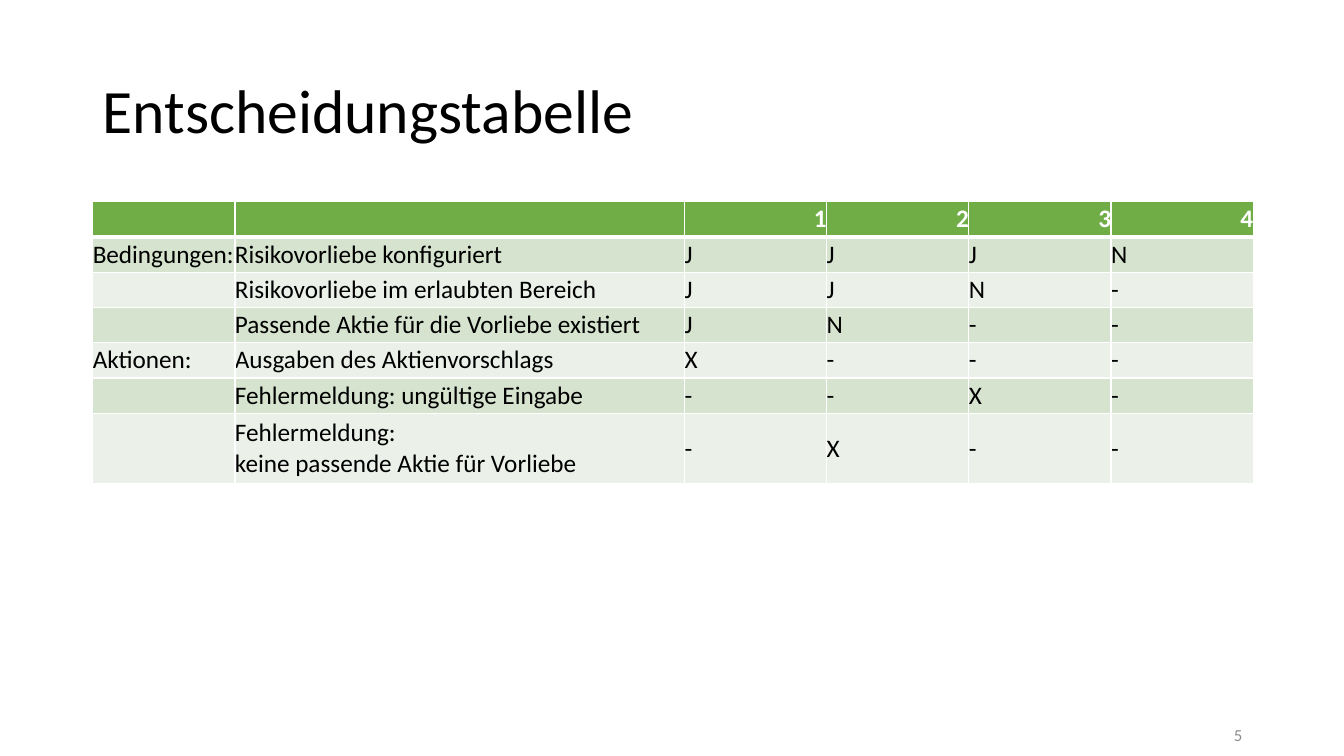
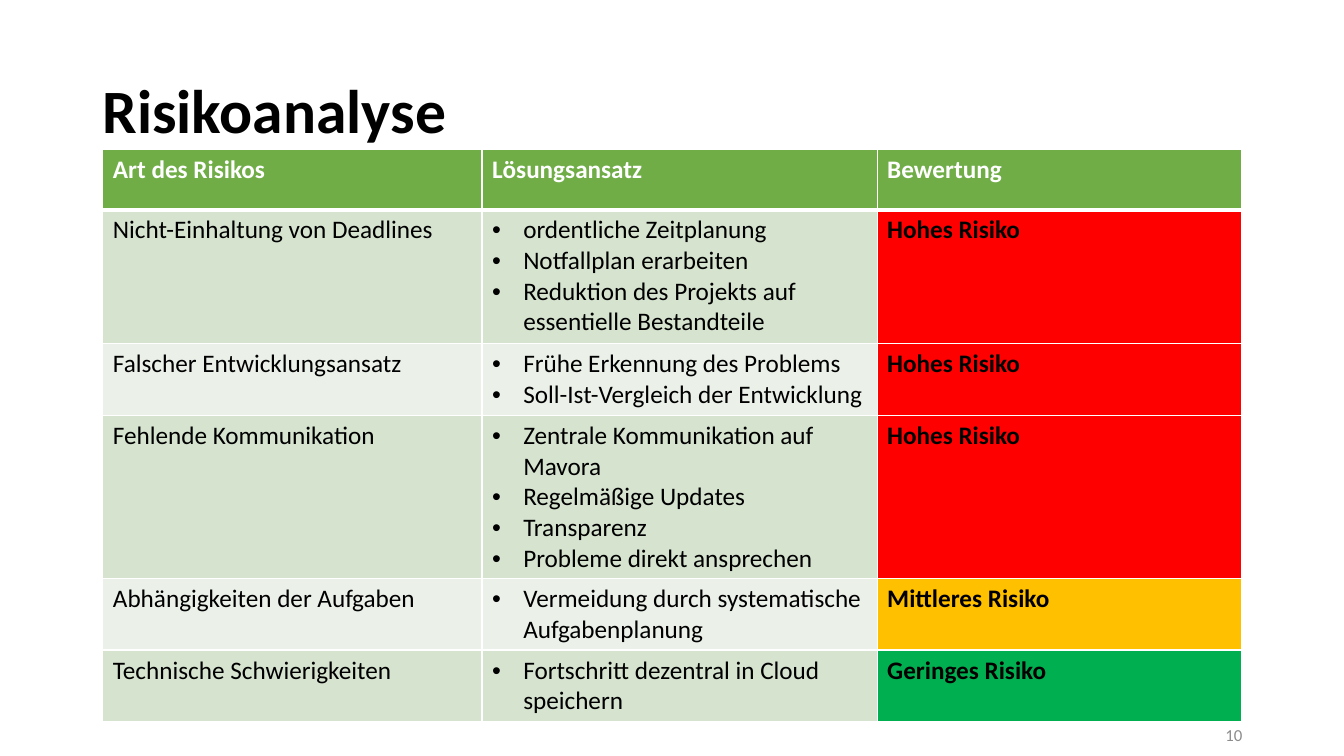
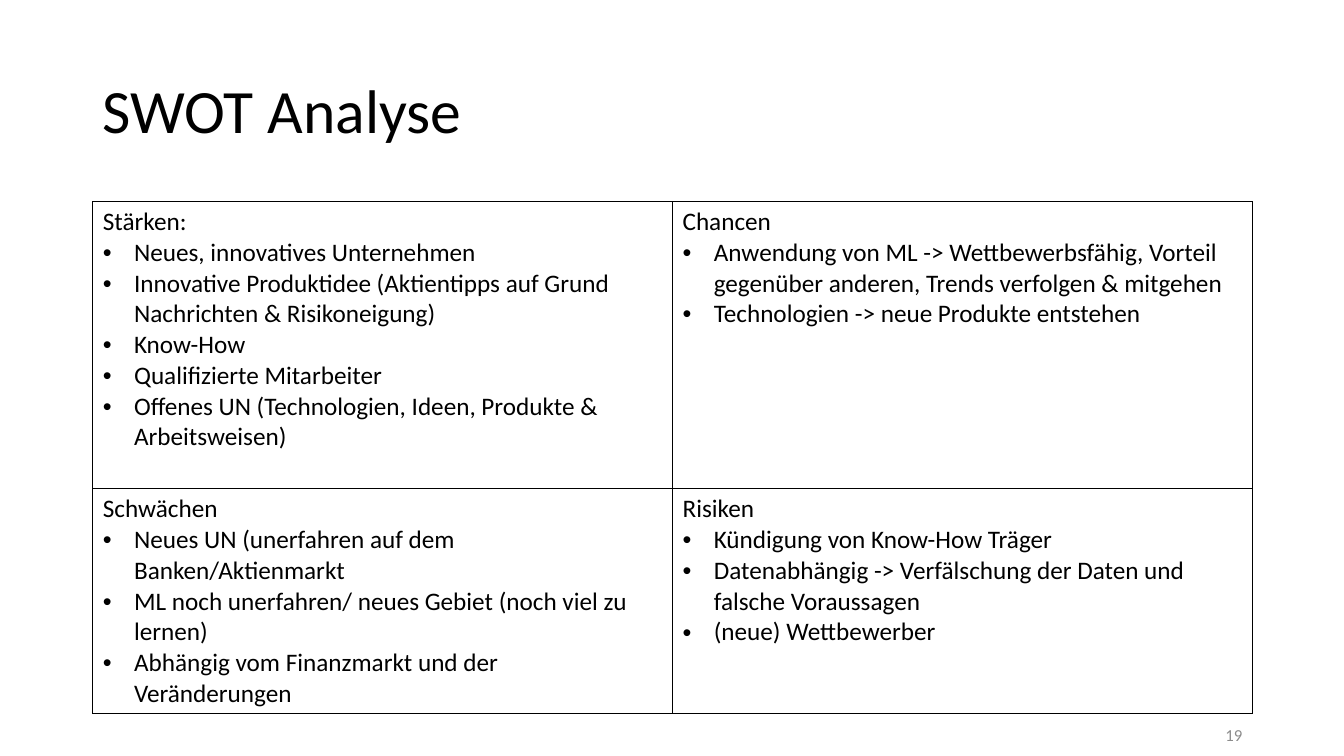
import pptx
import pptx.util
import pptx.dml.color
import pptx.enum.text
import pptx.oxml
import pptx.oxml.ns

Inches, Pt = pptx.util.Inches, pptx.util.Pt
ALIGN = pptx.enum.text.PP_ALIGN
ANCHOR = pptx.enum.text.MSO_ANCHOR
FONT = "Calibri"
HEX = {
    "black": "000000", "white": "FFFFFF", "gray": "8C8C8C",
    "head": "70AD47", "odd": "D5E3CF", "even": "EBF1E9",
    "red": "FF0000", "amber": "FFC000", "green": "00B050",
}

RULES = [
    ["", "", "1", "2", "3", "4"],
    ["Bedingungen:", "Risikovorliebe konfiguriert", "J", "J", "J", "N"],
    ["", "Risikovorliebe im erlaubten Bereich", "J", "J", "N", "-"],
    ["", "Passende Aktie für die Vorliebe existiert", "J", "N", "-", "-"],
    ["Aktionen:", "Ausgaben des Aktienvorschlags", "X", "-", "-", "-"],
    ["", "Fehlermeldung: ungültige Eingabe", "-", "-", "X", "-"],
    ["", "Fehlermeldung:\nkeine passende Aktie für Vorliebe", "-", "X", "-", "-"],
]
RISKS = [
    ["Art des Risikos", "Lösungsansatz", "Bewertung"],
    ["Nicht-Einhaltung von Deadlines",
     ("", ["ordentliche Zeitplanung", "Notfallplan erarbeiten",
           "Reduktion des Projekts auf essentielle Bestandteile"]),
     "Hohes Risiko"],
    ["Falscher Entwicklungsansatz",
     ("", ["Frühe Erkennung des Problems", "Soll-Ist-Vergleich der Entwicklung"]),
     "Hohes Risiko"],
    ["Fehlende Kommunikation",
     ("", ["Zentrale Kommunikation auf Mavora", "Regelmäßige Updates",
           "Transparenz", "Probleme direkt ansprechen"]),
     "Hohes Risiko"],
    ["Abhängigkeiten der Aufgaben",
     ("", ["Vermeidung durch systematische Aufgabenplanung"]),
     "Mittleres Risiko"],
    ["Technische Schwierigkeiten",
     ("", ["Fortschritt dezentral in Cloud speichern"]),
     "Geringes Risiko"],
]
LEVELS = {"Hohes Risiko": "red", "Mittleres Risiko": "amber", "Geringes Risiko": "green"}
SWOT = [
    [("Stärken:", ["Neues, innovatives Unternehmen",
                   "Innovative Produktidee (Aktientipps auf Grund Nachrichten & Risikoneigung)",
                   "Know-How", "Qualifizierte Mitarbeiter",
                   "Offenes UN (Technologien, Ideen, Produkte & Arbeitsweisen)"]),
     ("Chancen", ["Anwendung von ML -> Wettbewerbsfähig, Vorteil gegenüber anderen, "
                  "Trends verfolgen & mitgehen",
                  "Technologien -> neue Produkte entstehen"])],
    [("Schwächen", ["Neues UN (unerfahren auf dem Banken/Aktienmarkt",
                    "ML noch unerfahren/ neues Gebiet (noch viel zu lernen)",
                    "Abhängig vom Finanzmarkt und der Veränderungen"]),
     ("Risiken", ["Kündigung von Know-How Träger",
                  "Datenabhängig -> Verfälschung der Daten und falsche Voraussagen",
                  "(neue) Wettbewerber"])],
]

SLIDES = [
    {"title": "Entscheidungstabelle", "page": "5", "cells": RULES, "at": (0.92, 2),
     "cols": [1.41, 4.46] + [1.41] * 4, "rows": [0.35] * 6 + [0.7],
     "green": True, "tight": True},
    {"title": "Risikoanalyse", "page": "10", "cells": RISKS, "at": (1.02, 1.48),
     "cols": [3.76, 3.92, 3.61], "rows": [0.6, 1.33, 0.71, 1.62, 0.71, 0.71],
     "green": True, "bold": True},
    {"title": "SWOT Analyse", "page": "19", "cells": SWOT, "at": (0.92, 2),
     "cols": [5.75] * 2, "rows": [2.85, 2.23]},
]


def color(name):
    return pptx.dml.color.RGBColor.from_string(HEX[name])


def write(para, text, size, tone="black", bold=False):
    for i, line in enumerate(text.split("\n")):
        if i:
            para.add_line_break()
        run = para.add_run()
        run.text = line
        font = run.font
        font.name, font.size, font.bold = FONT, Pt(size), bold
        font.color.rgb = color(tone)


def label(slide, box, text, size, tone, bold=False, align=ALIGN.LEFT, lead=1.0):
    frame = slide.shapes.add_textbox(*map(Inches, box)).text_frame
    frame.word_wrap = True
    frame.vertical_anchor = ANCHOR.MIDDLE
    para = frame.paragraphs[0]
    para.alignment, para.line_spacing = align, lead
    write(para, text, size, tone, bold)


def bullet(para):
    props = para._p.get_or_add_pPr()
    props.set("marL", str(Inches(0.31)))
    props.set("indent", str(-Inches(0.31)))
    for tag, key, val in (("buFont", "typeface", "Arial"), ("buChar", "char", "•")):
        node = pptx.oxml.parse_xml(f'<a:{tag} {pptx.oxml.ns.nsdecls("a")} {key}="{val}"/>')
        props.append(node)


def border(cell, tone, top, bottom):
    props = cell._tc.get_or_add_tcPr()
    for i, (side, wide) in enumerate(zip("LRTB", (1, 1, top, bottom))):
        props.insert(i, pptx.oxml.parse_xml(
            f'<a:ln{side} {pptx.oxml.ns.nsdecls("a")} w="{Pt(wide)}"><a:solidFill>'
            f'<a:srgbClr val="{HEX[tone]}"/></a:solidFill></a:ln{side}>'))


def fill_cell(cell, item, row, data):
    text, points = (item, []) if isinstance(item, str) else item
    green, tight = data.get("green"), data.get("tight")
    head = green and row == 0
    if tight:
        cell.margin_left = cell.margin_right = cell.margin_top = cell.margin_bottom = 0
        cell.vertical_anchor = ANCHOR.MIDDLE
    if green:
        cell.fill.solid()
        band = "head" if head else "odd" if row % 2 else "even"
        cell.fill.fore_color.rgb = color(LEVELS.get(text, band))
        border(cell, "white", 3 if row == 1 else 1, 3 if head else 1)
    else:
        cell.margin_right = Inches(0.15)
        cell.fill.background()
        border(cell, "black", 1, 1)
    lines = [(text, False)] if text else []
    lines += [(point, True) for point in points]
    frame = cell.text_frame
    for i, (line, mark) in enumerate(lines):
        para = frame.add_paragraph() if i else frame.paragraphs[0]
        if mark:
            bullet(para)
        if head and tight:
            para.alignment = ALIGN.RIGHT
        write(para, line, 18, "white" if head else "black", bool(head or text in LEVELS))


def grid(slide, data):
    cols, rows = data["cols"], data["rows"]
    box = (*data["at"], sum(cols), sum(rows))
    table = slide.shapes.add_table(len(rows), len(cols), *map(Inches, box)).table
    table.first_row = table.horz_banding = False
    for col, wide in zip(table.columns, cols):
        col.width = Inches(wide)
    for row, high in zip(table.rows, rows):
        row.height = Inches(high)
    for r, items in enumerate(data["cells"]):
        for c, item in enumerate(items):
            fill_cell(table.cell(r, c), item, r, data)


def main():
    deck = pptx.Presentation()
    deck.slide_width, deck.slide_height = Inches(13.33), Inches(7.5)
    for data in SLIDES:
        slide = deck.slides.add_slide(deck.slide_layouts[6])
        grid(slide, data)
        label(slide, (0.92, 0.4, 11.5, 1.45), data["title"], 44, "black",
              data.get("bold", False), lead=0.9)
        label(slide, (9.42, 7.09, 3, 0.4), data["page"], 12, "gray", align=ALIGN.RIGHT)
    deck.save("out.pptx")


if __name__ == "__main__":
    main()
